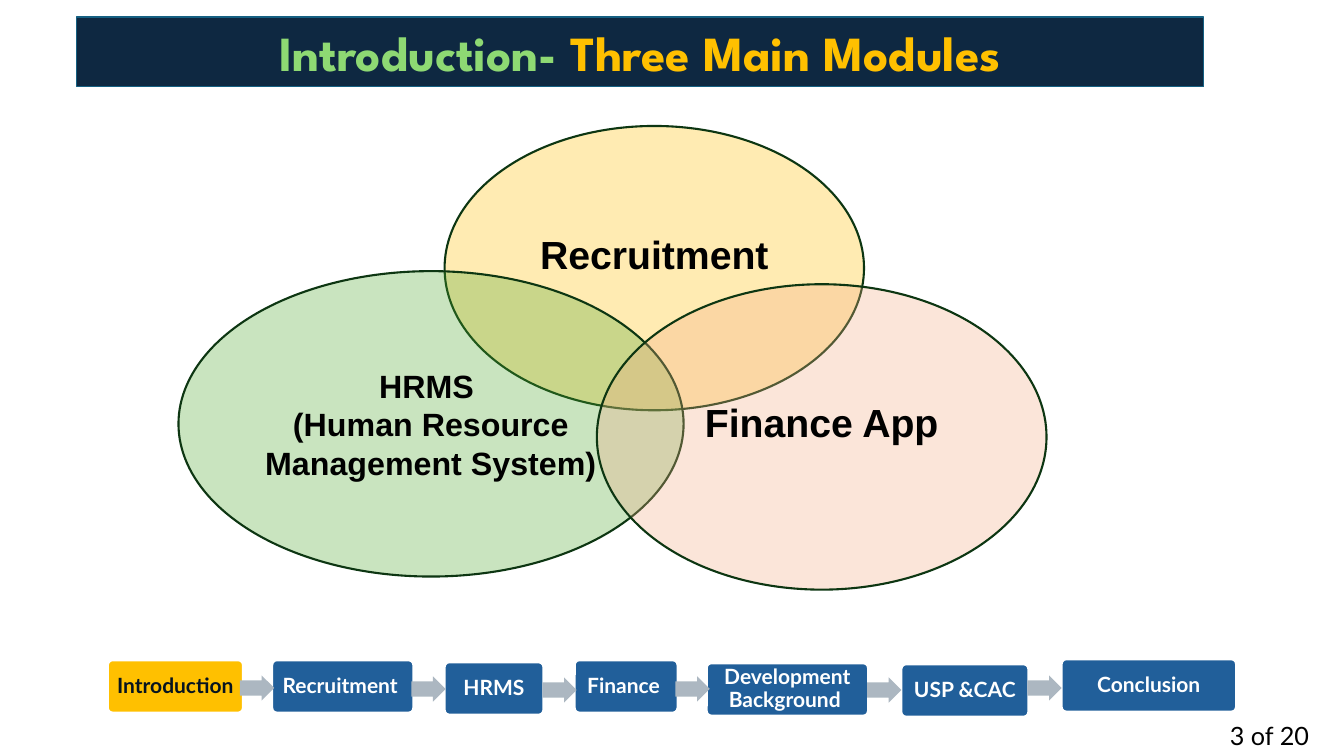
import pptx
import pptx.util
import pptx.dml.color
import pptx.enum.shapes
import pptx.enum.text
import pptx.oxml
import pptx.oxml.ns

Pt = pptx.util.Pt
RGB = pptx.dml.color.RGBColor
SHAPE = pptx.enum.shapes.MSO_SHAPE
ANCHOR = pptx.enum.text.MSO_ANCHOR
ALIGN = pptx.enum.text.PP_ALIGN

PX = 9144  # EMU per px, 100 px to the inch

WHITE = RGB(0xFF, 0xFF, 0xFF)
BLACK = RGB(0x00, 0x00, 0x00)
NAVY = RGB(0x0E, 0x28, 0x41)
TEAL = RGB(0x15, 0x60, 0x82)
LIME = RGB(0x8E, 0xD9, 0x73)
AMBER = RGB(0xFF, 0xC0, 0x00)
GREEN = RGB(0x4E, 0xA7, 0x2E)
PEACH = RGB(0xF2, 0xAA, 0x84)
FOREST = RGB(0x0D, 0x36, 0x12)
BLUE = RGB(0x21, 0x5F, 0x9A)
INK = RGB(0x07, 0x14, 0x20)
GREY = RGB(0xAC, 0xB7, 0xC1)

# Text, fill, left, top, width, height, font size, bottom inset
MODULES = [
    ("Recruitment", AMBER, 441, 125, 416, 282, 28, 34),
    ("HRMS \v(Human Resource Management System)", GREEN, 177, 269, 501, 303, 23, 5),
    ("Finance App", PEACH, 592, 282, 446, 303, 28, 34),
]

# Text, left, top, width
STEPS = [
    ("Introduction", 107, 655, 134),
    ("Recruitment ", 270, 655, 140),
    ("HRMS", 441, 657, 98),
    ("Finance ", 570, 655, 102),
    ("Development Background ", 701, 658, 160),
    ("USP &CAC", 894, 659, 126),
    ("Conclusion", 1053, 654, 173),
]
ARROWS = [(238, 670), (408, 671), (538, 672), (670, 671), (860, 672), (1019, 670)]


def px(*lengths):
    return [round(n * PX) for n in lengths]


def set_insets(tf, left, top, right, bottom):
    (tf.margin_left, tf.margin_top,
     tf.margin_right, tf.margin_bottom) = px(left, top, right, bottom)


def set_font(font, name, size, color, bold=True):
    font.name = name
    font.size = Pt(size)
    font.bold = bold
    font.color.rgb = color


def paint(sp, fill, line=None, width=1.5):
    sp.fill.solid()
    sp.fill.fore_color.rgb = fill
    if line is None:
        sp.line.fill.background()
    else:
        sp.line.color.rgb = line
        sp.line.width = Pt(width)


def add_shape(slide, kind, box, fill, line=None):
    sp = slide.shapes.add_shape(kind, *px(*box))
    sp.shadow.inherit = False
    paint(sp, fill, line)
    return sp


def write(sp, text, name, size, color):
    tf = sp.text_frame
    tf.word_wrap = True
    tf.vertical_anchor = ANCHOR.MIDDLE
    p = tf.paragraphs[0]
    p.text = text
    p.alignment = ALIGN.CENTER
    set_font(p.font, name, size, color)
    return tf


def set_opacity(sp, percent):
    color = sp.fill._xPr.find(".//" + pptx.oxml.ns.qn("a:srgbClr"))
    color.append(pptx.oxml.parse_xml(
        f'<a:alpha {pptx.oxml.ns.nsdecls("a")} val="{percent * 1000}"/>'))


def format_title(slide):
    sp = slide.shapes.title
    sp.left, sp.top, sp.width, sp.height = px(76, 17, 1118, 69)
    paint(sp, NAVY, TEAL, 1)
    tf = sp.text_frame
    tf.auto_size = pptx.enum.text.MSO_AUTO_SIZE.NONE
    tf.vertical_anchor = ANCHOR.TOP
    set_insets(tf, 10, 5, 10, 5)
    p = tf.paragraphs[0]
    p.alignment = ALIGN.CENTER
    for text, color in (("Introduction- ", LIME), ("Three Main Modules", AMBER)):
        r = p.add_run()
        r.text = text
        set_font(r.font, "League Spartan", 35, color)


def add_module(slide, text, fill, left, top, width, height, size, bottom):
    sp = add_shape(slide, SHAPE.OVAL, (left, top, width, height), fill, FOREST)
    set_opacity(sp, 30)
    tf = write(sp, text, "Arial", size, BLACK)
    set_insets(tf, 10, 5, 10, bottom)


def add_step(slide, text, left, top, width, current):
    fill, color = (AMBER, INK) if current else (BLUE, WHITE)
    sp = add_shape(slide, SHAPE.ROUNDED_RECTANGLE, (left, top, width, 52), fill, WHITE)
    sp.adjustments[0] = 0.09
    tf = write(sp, text, "Lato", 15, color)
    tf.paragraphs[0].line_spacing = 0.9
    set_insets(tf, 6, 6, 6, 6)


def add_arrow(slide, left, top):
    sp = add_shape(slide, SHAPE.RIGHT_ARROW, (left, top, 34, 25), GREY)
    sp.adjustments[0] = 0.6
    sp.adjustments[1] = 0.5


def add_page_number(slide, text):
    tf = slide.shapes.add_textbox(*px(1210, 710, 119, 38)).text_frame
    tf.word_wrap = True
    p = tf.paragraphs[0]
    p.text = text
    set_font(p.font, "Lato", 18, BLACK, False)


def main():
    prs = pptx.Presentation()
    prs.slide_width, prs.slide_height = px(1333, 750)
    slide = prs.slides.add_slide(prs.slide_layouts[5])

    format_title(slide)

    # Overlapping modules
    for module in MODULES:
        add_module(slide, *module)

    # Progress bar, first step current
    for i, step in enumerate(STEPS):
        add_step(slide, *step, current=i == 0)
    for arrow in ARROWS:
        add_arrow(slide, *arrow)

    add_page_number(slide, "3 of 20")
    prs.save("out.pptx")


if __name__ == "__main__":
    main()
